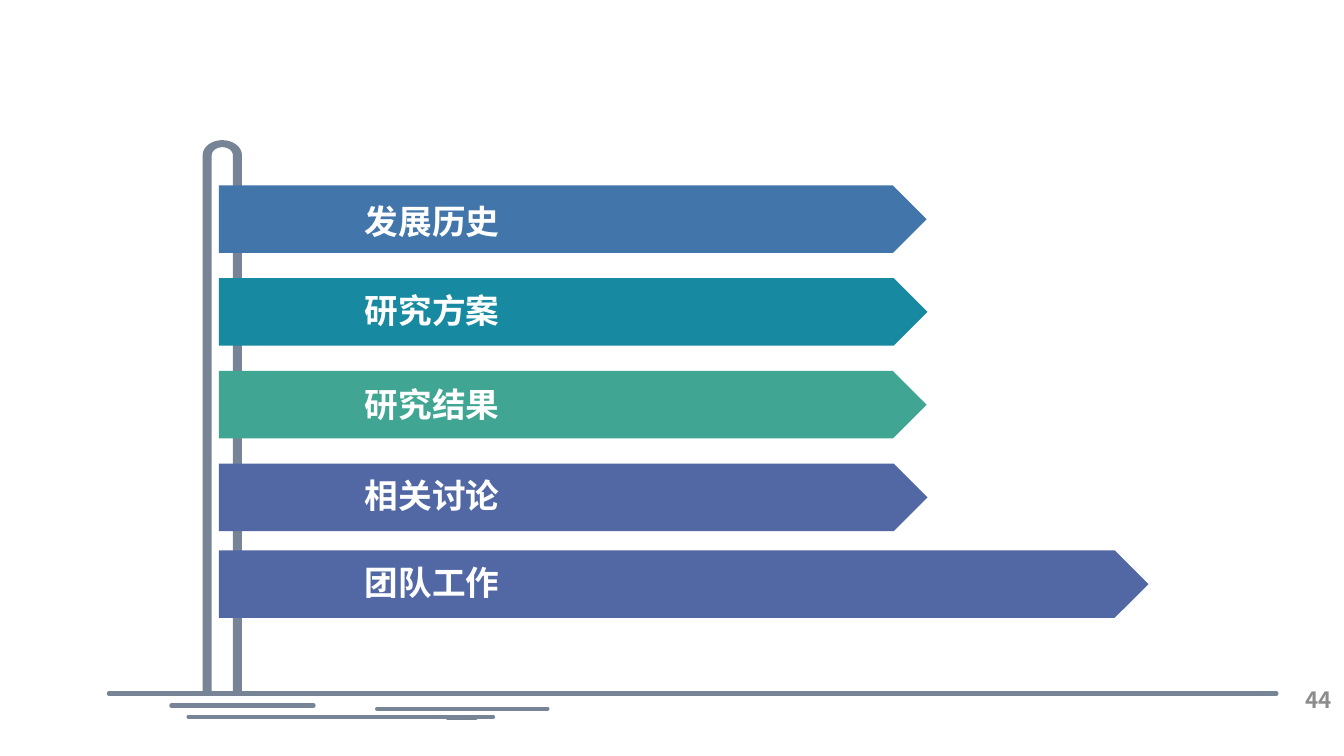
import math
from dataclasses import dataclass

from lxml import etree
from pptx import Presentation, util as u
from pptx.dml.color import RGBColor
from pptx.enum import shapes, text
from pptx.oxml.ns import qn


@dataclass(frozen=True)
class Theme:
    font: str = "Noto Sans CJK SC"
    post: str = "778495"
    blue: str = "4276AA"
    teal: str = "178AA1"
    green: str = "40A693"
    indigo: str = "5268A5"
    white: str = "FFFFFF"
    grey: str = "8C8C8C"
    label_size: int = 24
    number_size: int = 16
    line_width: int = 3


@dataclass(frozen=True)
class Sign:
    label: str
    color: str
    top: float
    width: float
    label_top: float
    label_width: float


@dataclass(frozen=True)
class GroundLine:
    left: float
    right: float
    top: float


THEME = Theme()
SIGN_LEFT, SIGN_HEIGHT, LABEL_LEFT = 2.17, 0.67, 3.52
SIGNS = [
    Sign("发展历史", THEME.blue, 1.84, 7.02, 1.94, 7.87),
    Sign("研究方案", THEME.teal, 2.76, 7.03, 2.83, 3.15),
    Sign("研究结果", THEME.green, 3.68, 7.02, 3.76, 5.68),
    Sign("相关讨论", THEME.indigo, 4.6, 7.03, 4.66, 5.67),
    Sign("团队工作", THEME.indigo, 5.46, 9.22, 5.53, 5.67),
]
GROUND_LINES = [
    GroundLine(1.36, 12.66, 6.88),
    GroundLine(5.04, 5.38, 7.03),
    GroundLine(1.08, 1.47, 6.88),
    GroundLine(3.74, 5.43, 7.03),
    GroundLine(2.14, 4.89, 7.11),
    GroundLine(1.87, 2.21, 7.11),
    GroundLine(1.7, 3.11, 7),
    GroundLine(4.44, 4.72, 7.12),
]


def paint(shape, color: str) -> None:
    shape.shadow.inherit = False
    shape.fill.solid()
    shape.fill.fore_color.rgb = RGBColor.from_string(color)
    shape.line.fill.background()


def arch(radius_x: float, radius_y: float) -> list[tuple[float, float]]:
    center_x, center_y, steps = 2.205, 1.54, 16
    angles = [math.pi * step / steps for step in range(steps + 1)]
    return [(center_x - radius_x * math.cos(angle), center_y - radius_y * math.sin(angle))
            for angle in angles]


def draw_post(page) -> None:
    bottom = 6.88
    outer, inner = arch(0.195, 0.15), arch(0.105, 0.08)
    outline = [(outer[0][0], bottom), *outer, (outer[-1][0], bottom),
               (inner[-1][0], bottom), *reversed(inner), (inner[0][0], bottom)]
    points = [(u.Inches(x), u.Inches(y)) for x, y in outline]
    builder = page.shapes.build_freeform(*points[0])
    builder.add_line_segments(points[1:], close=True)
    paint(builder.convert_to_shape(), THEME.post)


def draw_ground_line(page, ground: GroundLine) -> None:
    line = page.shapes.add_connector(
        shapes.MSO_CONNECTOR.STRAIGHT, u.Inches(ground.left), u.Inches(ground.top),
        u.Inches(ground.right), u.Inches(ground.top))
    line.line.color.rgb = RGBColor.from_string(THEME.post)
    line.line.width = u.Pt(THEME.line_width)
    properties = line.element.spPr
    properties.find(qn("a:ln")).set("cap", "rnd")
    etree.SubElement(properties, qn("a:effectLst"))


def draw_text(page, words: str, left: float, top: float, width: float, height: float,
              size: int, color: str):
    box = page.shapes.add_textbox(
        u.Inches(left), u.Inches(top), u.Inches(width), u.Inches(height))
    frame = box.text_frame
    frame.word_wrap = True
    frame.text = words
    span = frame.paragraphs[0].runs[0]
    span.font.name = THEME.font
    span.font.size = u.Pt(size)
    span.font.bold = True
    span.font.color.rgb = RGBColor.from_string(color)
    latin = span.font._element.find(qn("a:latin"))
    east_asian = etree.Element(qn("a:ea"), typeface=THEME.font)
    latin.addnext(east_asian)
    return frame


def draw_sign(page, sign: Sign) -> None:
    plate = page.shapes.add_shape(
        shapes.MSO_SHAPE.PENTAGON, u.Inches(SIGN_LEFT), u.Inches(sign.top),
        u.Inches(sign.width), u.Inches(SIGN_HEIGHT))
    paint(plate, sign.color)
    frame = draw_text(page, sign.label, LABEL_LEFT, sign.label_top, sign.label_width, 0.5,
                      THEME.label_size, THEME.white)
    frame.auto_size = text.MSO_AUTO_SIZE.SHAPE_TO_FIT_TEXT


def draw_page_number(page) -> None:
    frame = draw_text(page, "44", 10.2, 6.74, 3.11, 0.4, THEME.number_size, THEME.grey)
    frame.vertical_anchor = text.MSO_ANCHOR.MIDDLE
    frame.paragraphs[0].alignment = text.PP_ALIGN.RIGHT


def main() -> None:
    deck = Presentation()
    deck.slide_width, deck.slide_height = u.Inches(13.33), u.Inches(7.5)
    page = deck.slides.add_slide(deck.slide_layouts.get_by_name("Blank"))
    draw_post(page)
    for ground in GROUND_LINES:
        draw_ground_line(page, ground)
    for sign in SIGNS:
        draw_sign(page, sign)
    draw_page_number(page)
    deck.save("out.pptx")


if __name__ == "__main__":
    main()
